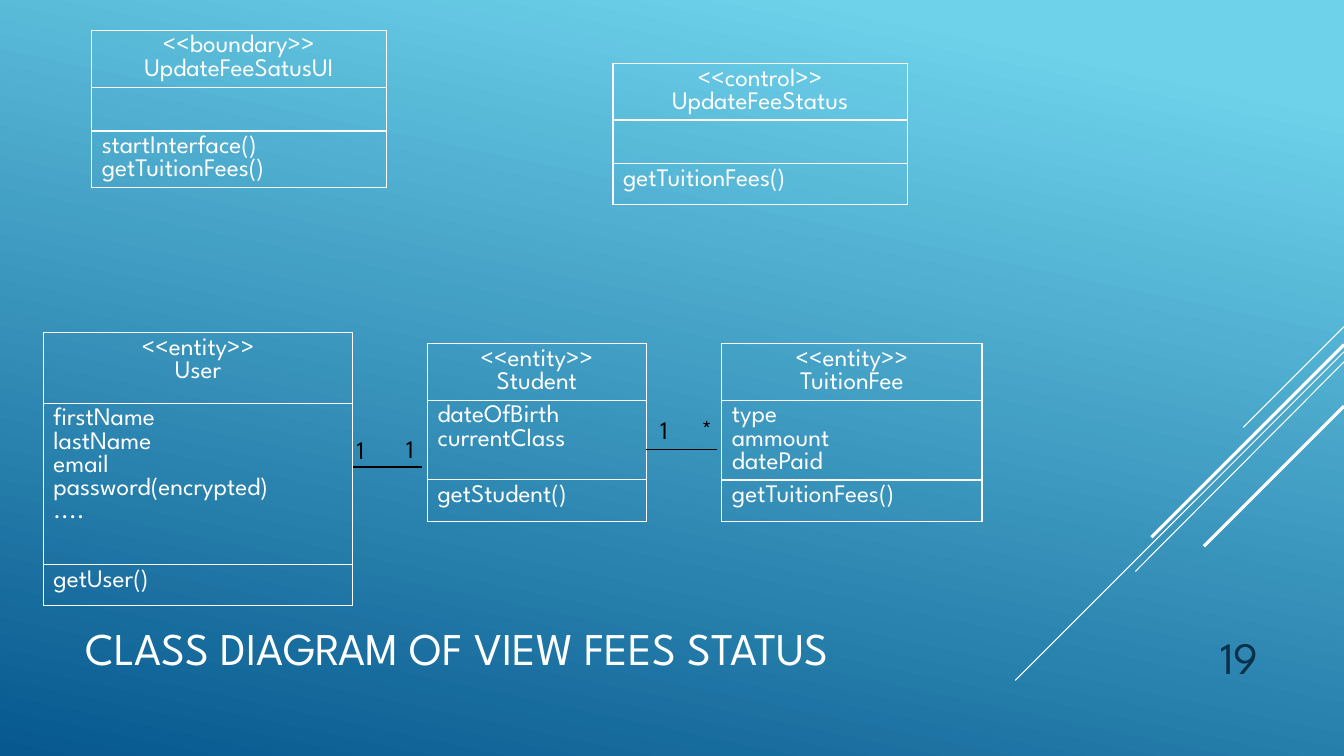
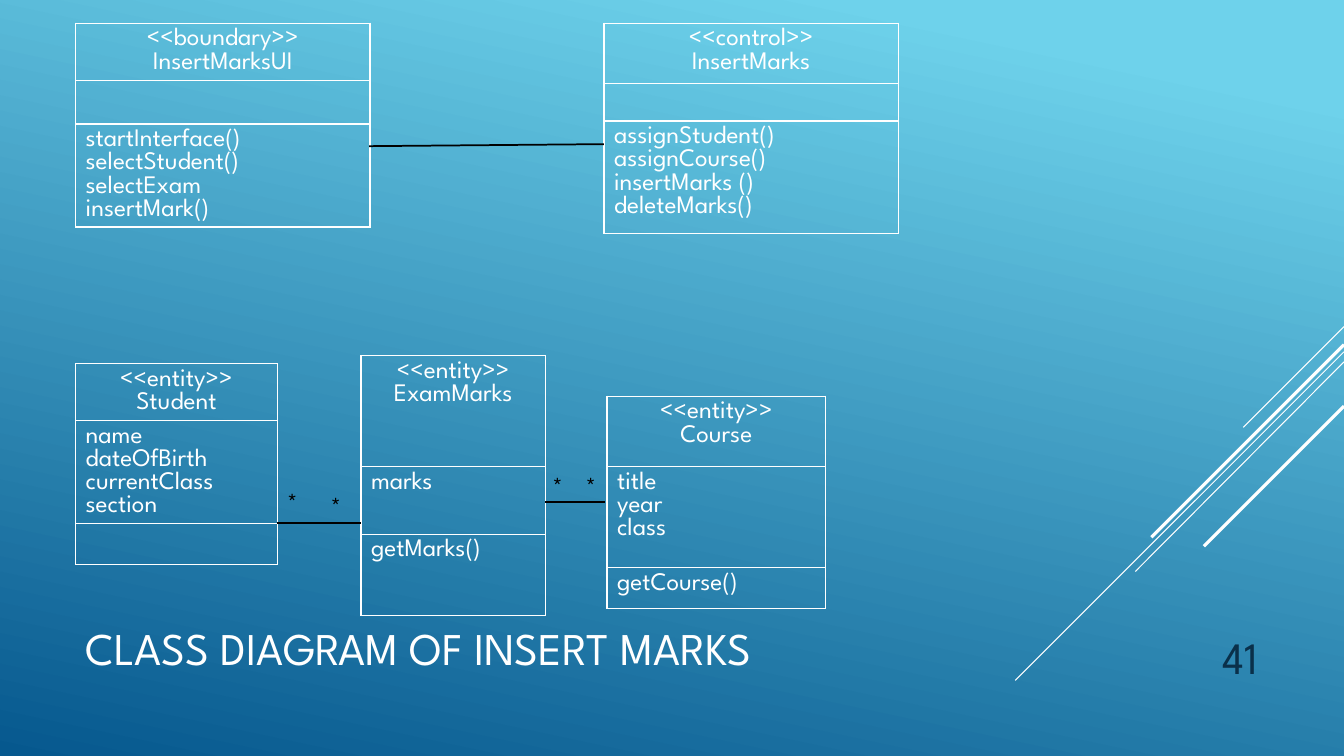
from lxml import etree
from pptx import Presentation
from pptx import util as u
from pptx.dml.color import RGBColor
from pptx.enum import shapes, text
from pptx.oxml import ns

WHITE = RGBColor(0xFF, 0xFF, 0xFF)
BLACK = RGBColor(0, 0, 0)
NAVY = RGBColor(0x0A, 0x30, 0x4A)
SKY = RGBColor(0x6E, 0xD2, 0xEB)
OCEAN = RGBColor(0x06, 0x58, 0x8E)

FACE = "League Spartan"
CLASS_FONT = {"name": FACE, "size": u.Pt(18), "color": WHITE}
LABEL_FONT = {**CLASS_FONT, "color": BLACK}
TITLE_FONT = {"name": FACE, "size": u.Pt(32.4), "color": WHITE}
NUMBER_FONT = {"name": FACE, "size": u.Pt(32), "color": NAVY}

LEFT, CENTER, RIGHT = text.PP_ALIGN.LEFT, text.PP_ALIGN.CENTER, text.PP_ALIGN.RIGHT
PAGE_WIDTH, PAGE_HEIGHT = 13.33, 7.5
TITLE_BOX = {"left": 0.75, "top": 6.3, "width": 9.33, "height": 0.25}

STRIPES = [
    (3.24, 12.33, 4.24, 0.75),
    (3.49, 10.07, 6.75, 0.75),
    (3.59, 11.26, 5.67, 0.75),
    (3.42, 11.42, 5.33, 2.25),
    (4.03, 11.94, 5.42, 2.25),
]

DIAGRAMS = [
    {
        "title": "CLASS DIAGRAM OF VIEW FEES STATUS",
        "number": "19",
        "classes": [
            ((0.91, 0.3, 2.92), (0.57, 0.43, 0.56), "boundary", "UpdateFeeSatusUI",
             [], ["startInterface()", "getTuitionFees()"]),
            ((6.08, 0.63, 2.92), (0.56, 0.43, 0.41), "control", "UpdateFeeStatus",
             [], ["getTuitionFees()"]),
            ((4.24, 3.41, 2.17), (0.56, 0.79, 0.41), "entity", "Student",
             ["dateOfBirth", "currentClass"], ["getStudent()"]),
            ((7.16, 3.41, 2.58), (0.56, 0.79, 0.41), "entity", "TuitionFee",
             ["type", "ammount", "datePaid"], ["getTuitionFees()"]),
            ((0.43, 3.3, 3.07), (0.7, 1.6, 0.41), "entity", "User",
             ["firstName", "lastName", "email", "password(encrypted)", "...."],
             ["getUser()"]),
        ],
        "links": [(6.41, 4.46, 7.11, 4.46), (3.5, 4.63, 4.19, 4.63)],
        "multiplicities": [("1", 6.45, 4.06), ("*", 6.86, 4.05),
                           ("1", 3.44, 4.26), ("1", 3.93, 4.25)],
    },
    {
        "title": "CLASS DIAGRAM OF INSERT MARKS",
        "number": "41",
        "classes": [
            ((0.75, 0.23, 2.92), (0.57, 0.43, 1.02), "boundary", "InsertMarksUI",
             [], ["startInterface()", "selectStudent()", "selectExam", "insertMark()"]),
            ((5.99, 0.23, 2.92), (0.6, 0.37, 1.12), "control", "InsertMarks",
             [], ["assignStudent()", "assignCourse()", "insertMarks ()",
                  "deleteMarks()"]),
            ((3.58, 3.53, 1.83), (1.1, 0.67, 0.81), "entity", "ExamMarks",
             ["marks"], ["getMarks()"]),
            ((0.75, 3.61, 2), (0.56, 1.02, 0.41), "entity", "Student",
             ["name", "dateOfBirth", "currentClass", "section"], []),
            ((6.02, 3.93, 2.17), (0.7, 1, 0.41), "entity", "Course",
             ["title", "year", "class"], ["getCourse()"]),
        ],
        "links": [(2.75, 5.19, 3.58, 5.19), (5.41, 4.98, 6, 4.98),
                  (3.66, 1.45, 5.99, 1.43)],
        "multiplicities": [("*", 2.75, 4.78), ("*", 3.18, 4.82),
                           ("*", 5.38, 4.62), ("*", 5.71, 4.62)],
    },
]


def set_all(target, values):
    for name, value in values.items():
        setattr(target, name, value)


def write_lines(frame, lines, style, align=LEFT):
    for index, line in enumerate(lines):
        paragraph = frame.paragraphs[0] if index == 0 else frame.add_paragraph()
        paragraph.alignment = align
        run = paragraph.add_run()
        run.text = line
        set_all(run.font, {key: style[key] for key in ("name", "size")})
        run.font.color.rgb = style["color"]


def add_line(slide, ends, color, weight):
    line = slide.shapes.add_connector(
        shapes.MSO_CONNECTOR.STRAIGHT, *(u.Inches(end) for end in ends))
    line.line.color.rgb = color
    line.line.width = u.Pt(weight)
    etree.SubElement(line.element.spPr, ns.qn("a:effectLst"))
    return line


def add_text(slide, box, words, style, align=LEFT, **frame_format):
    frame = slide.shapes.add_textbox(*(u.Inches(side) for side in box)).text_frame
    set_all(frame, frame_format)
    write_lines(frame, [words], style, align)


def outline_cell(cell):
    properties = cell._tc.get_or_add_tcPr()
    for index, side in enumerate(("lnL", "lnR", "lnT", "lnB")):
        border = etree.Element(ns.qn(f"a:{side}"), w=str(u.Pt(1)))
        fill = etree.SubElement(border, ns.qn("a:solidFill"))
        etree.SubElement(fill, ns.qn("a:srgbClr"), val=str(WHITE))
        properties.insert(index, border)


def add_class(slide, place, heights, stereotype, name, fields, methods):
    left, top, width = place
    table = slide.shapes.add_table(
        3, 1, u.Inches(left), u.Inches(top), u.Inches(width),
        u.Inches(sum(heights))).table
    set_all(table, {"first_row": False, "horz_banding": False})
    compartments = [([f"<<{stereotype}>>", name], CENTER), (fields, LEFT), (methods, LEFT)]
    for index, (lines, align) in enumerate(compartments):
        table.rows[index].height = u.Inches(heights[index])
        cell = table.cell(index, 0)
        cell.fill.background()
        outline_cell(cell)
        if lines:
            write_lines(cell.text_frame, lines, CLASS_FONT, align)
        else:
            set_all(cell, {"margin_top": 0, "margin_bottom": 0})


def style_template(deck, layout):
    fill = deck.slide_master.background.fill
    fill.gradient()
    fill.gradient_angle = 258
    for stop, color, position in zip(fill.gradient_stops, (SKY, OCEAN), (0.1, 1)):
        stop.color.rgb = color
        stop.position = position
    set_all(layout.placeholders[0],
            {side: u.Inches(length) for side, length in TITLE_BOX.items()})


def add_stripes(slide, layout):
    for top, end_x, end_y, weight in STRIPES:
        stripe = add_line(slide, (PAGE_WIDTH, top, end_x, end_y), WHITE, weight)
        layout.shapes.element.append(stripe.element)


def add_title(slide, words):
    frame = slide.shapes.title.text_frame
    set_all(frame, {"vertical_anchor": text.MSO_ANCHOR.MIDDLE, "word_wrap": True,
                    "auto_size": text.MSO_AUTO_SIZE.NONE})
    write_lines(frame, [words], TITLE_FONT)


def add_diagram(slide, diagram):
    add_title(slide, diagram["title"])
    for uml_class in diagram["classes"]:
        add_class(slide, *uml_class)
    for ends in diagram["links"]:
        add_line(slide, ends, BLACK, 1.25)
    for mark, left, top in diagram["multiplicities"]:
        width = 0.38 if mark == "*" else 0.3
        add_text(slide, (left, top, width, 0.4), mark, LABEL_FONT, word_wrap=False)
    add_text(slide, (11.33, 6.1, 1.25, 0.73), diagram["number"], NUMBER_FONT, RIGHT,
             word_wrap=True, vertical_anchor=text.MSO_ANCHOR.BOTTOM)


def main():
    deck = Presentation()
    set_all(deck, {"slide_width": u.Inches(PAGE_WIDTH),
                   "slide_height": u.Inches(PAGE_HEIGHT)})
    layout = deck.slide_layouts[5]
    style_template(deck, layout)
    slides = [deck.slides.add_slide(layout) for _ in DIAGRAMS]
    add_stripes(slides[0], layout)
    for slide, diagram in zip(slides, DIAGRAMS):
        add_diagram(slide, diagram)
    deck.save("out.pptx")


if __name__ == "__main__":
    main()
